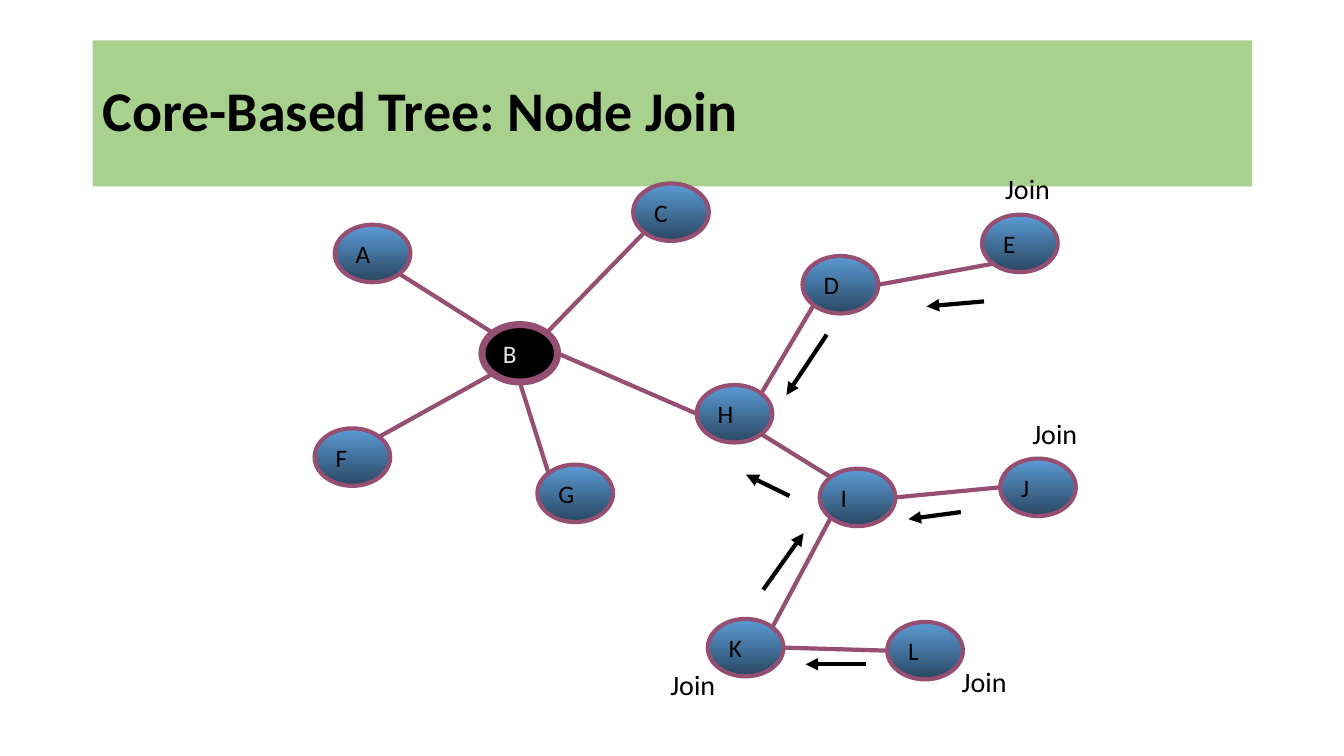
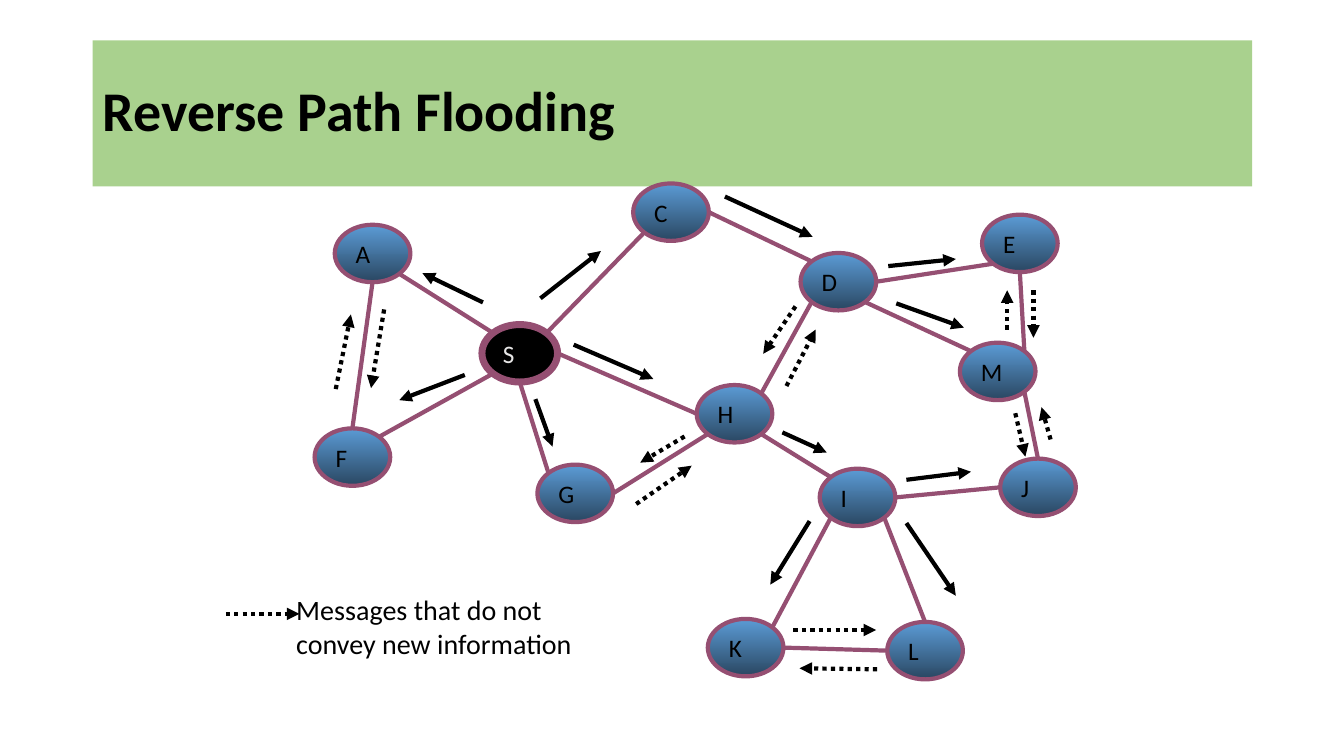
from math import sqrt

from lxml.etree import SubElement
from pptx import Presentation
from pptx.dml.color import RGBColor
from pptx.enum.dml import MSO_LINE
from pptx.enum.shapes import MSO_CONNECTOR, MSO_SHAPE
from pptx.enum.text import MSO_ANCHOR, MSO_AUTO_SIZE, PP_ALIGN
from pptx.oxml.ns import qn
from pptx.util import Inches, Pt

BLACK = RGBColor(0x00, 0x00, 0x00)
LIGHT = RGBColor(0xE7, 0xE6, 0xE6)
GREEN = RGBColor(0xA9, 0xD1, 0x8E)
PURPLE = RGBColor(0x95, 0x4F, 0x72)
BLUE = RGBColor(0x5B, 0x9B, 0xD5)
DARK_BLUE = RGBColor(0x2A, 0x47, 0x62)
FONT = "Calibri"

NODE_WIDTH, NODE_HEIGHT = 0.75, 0.57
DIAGONAL = 1 / sqrt(2)

# Connection sites of an ellipse: index, horizontal and vertical direction
SITES = {
    "top": (0, 0, -1),
    "top left": (1, -DIAGONAL, -DIAGONAL),
    "left": (2, -1, 0),
    "bottom left": (3, -DIAGONAL, DIAGONAL),
    "bottom": (4, 0, 1),
    "bottom right": (5, DIAGONAL, DIAGONAL),
    "right": (6, 1, 0),
    "top right": (7, DIAGONAL, -DIAGONAL),
}

# Left and top of the nodes that both networks have
SHARED_NODES = {
    "A": (3.32, 2.23), "C": (6.28, 1.82), "F": (3.12, 4.25),
    "E": (9.74, 2.13), "H": (6.91, 3.82), "G": (5.33, 4.61),
    "I": (8.13, 4.65), "J": (9.92, 4.55), "L": (8.8, 6.17),
    "K": (7.02, 6.14),
}
CORE_POSITION = (4.78, 3.22)

SHARED_EDGES = [
    ("core", "right", "H", "left"),
    ("A", "bottom right", "core", "top left"),
    ("F", "top right", "core", "bottom left"),
    ("core", "bottom", "G", "top left"),
    ("core", "top right", "C", "bottom left"),
    ("H", "top right", "D", "bottom left"),
    ("D", "right", "E", "bottom left"),
    ("H", "bottom right", "I", "top left"),
    ("I", "right", "J", "left"),
    ("I", "bottom left", "K", "top right"),
    ("K", "right", "L", "left"),
]
FLOODING_EDGES = [
    ("M", "top left", "D", "bottom right"),
    ("A", "bottom", "F", "top"),
    ("C", "right", "D", "top left"),
    ("G", "right", "H", "bottom left"),
    ("E", "bottom", "M", "top right"),
    ("L", "top", "I", "bottom right"),
    ("J", "top", "M", "bottom right"),
]

# Arrows: start x, start y, end x, end y
JOIN_ARROWS = [
    (9.76, 2.99, 9.19, 3.04), (8.2, 3.32, 7.8, 3.92),
    (9.53, 5.08, 9.01, 5.15), (7.83, 4.92, 7.4, 4.71),
    (7.57, 5.85, 7.97, 5.29), (8.59, 6.59, 7.99, 6.59),
]
JOIN_LABELS = [(9.87, 1.65), (10.14, 4.08), (6.55, 6.57), (9.44, 6.54)]
FLOODING_ARROWS = [
    (8.81, 2.64, 9.48, 2.57), (5.69, 3.42, 6.48, 3.76),
    (7.76, 4.29, 8.2, 4.49), (8.99, 4.76, 9.63, 4.68),
    (8.03, 5.17, 7.64, 5.8), (5.36, 2.96, 5.96, 2.49),
    (4.79, 3, 4.19, 2.71), (4.61, 3.72, 3.96, 3.97),
    (5.31, 3.96, 5.48, 4.43), (7.19, 1.95, 8.06, 2.35),
    (8.89, 3.01, 9.56, 3.25), (8.99, 5.19, 9.48, 5.91),
]
REDUNDANT_ARROWS = [
    (7.89, 3.04, 7.57, 3.51), (7.8, 3.83, 8.09, 3.27),
    (7.87, 6.25, 8.69, 6.25), (8.7, 6.64, 7.93, 6.63),
    (6.31, 5, 6.86, 4.62), (6.79, 4.33, 6.35, 4.59),
    (3.33, 3.86, 3.48, 3.12), (3.81, 3.07, 3.68, 3.85),
    (9.99, 3.27, 9.99, 2.88), (10.25, 2.88, 10.25, 3.35),
    (10.07, 4.1, 10.17, 4.53), (10.42, 4.36, 10.33, 4.04),
]
LEGEND_ARROW = (2.24, 6.09, 2.97, 6.09)


def write_paragraph(paragraph, text, size, color=BLACK, bold=False):
    paragraph.alignment = PP_ALIGN.LEFT
    run = paragraph.add_run()
    run.text = text
    run.font.name = FONT
    run.font.size = Pt(size)
    run.font.bold = bold
    run.font.color.rgb = color


def add_title(slide, text):
    band = slide.shapes.add_shape(
        MSO_SHAPE.RECTANGLE, Inches(0.92), Inches(0.4), Inches(11.5), Inches(1.45))
    band.shadow.inherit = False
    band.fill.solid()
    band.fill.fore_color.rgb = GREEN
    band.line.fill.background()
    band.text_frame.vertical_anchor = MSO_ANCHOR.MIDDLE
    paragraph = band.text_frame.paragraphs[0]
    paragraph.line_spacing = 0.9
    write_paragraph(paragraph, text, 40, bold=True)


def add_node(slide, label, position, is_core=False):
    left, top = position
    node = slide.shapes.add_shape(
        MSO_SHAPE.OVAL, Inches(left), Inches(top),
        Inches(NODE_WIDTH), Inches(NODE_HEIGHT))
    node.shadow.inherit = False
    if is_core:
        node.fill.solid()
        node.fill.fore_color.rgb = BLACK
    else:
        node.fill.gradient()
        node.fill.gradient_angle = 270
        for stop, color in zip(node.fill.gradient_stops, (BLUE, DARK_BLUE)):
            stop.color.rgb = color
    node.line.color.rgb = PURPLE
    node.line.width = Pt(5 if is_core else 3)
    frame = node.text_frame
    frame.vertical_anchor = MSO_ANCHOR.MIDDLE
    frame.auto_size = MSO_AUTO_SIZE.SHAPE_TO_FIT_TEXT
    write_paragraph(frame.paragraphs[0], label, 18, LIGHT if is_core else BLACK)
    return node


def add_line(slide, start, end, color):
    """Draw a straight connector between two points given in EMU."""
    line = slide.shapes.add_connector(MSO_CONNECTOR.STRAIGHT, *start, *end)
    line.line.color.rgb = color
    line.line.width = Pt(3)
    SubElement(line._element.spPr, qn("a:effectLst"))
    return line


def site_point(node, site):
    _, across, down = SITES[site]
    return (round(node.left + node.width * (1 + across) / 2),
            round(node.top + node.height * (1 + down) / 2))


def add_edge(slide, start_node, start_site, end_node, end_site):
    """Join two nodes; ellipses have eight sites, so the links are set in XML."""
    edge = add_line(slide, site_point(start_node, start_site),
                    site_point(end_node, end_site), PURPLE)
    properties = edge._element.nvCxnSpPr.cNvCxnSpPr
    for tag, node, site in (("a:stCxn", start_node, start_site),
                            ("a:endCxn", end_node, end_site)):
        SubElement(properties, qn(tag), id=str(node.shape_id), idx=str(SITES[site][0]))


def add_arrow(slide, ends, dotted=False):
    x1, y1, x2, y2 = map(Inches, ends)
    arrow = add_line(slide, (x1, y1), (x2, y2), BLACK)
    if dotted:
        arrow.line.dash_style = MSO_LINE.ROUND_DOT
    outline = arrow._element.spPr.find(qn("a:ln"))
    SubElement(outline, qn("a:tailEnd"), type="triangle")


def add_label(slide, left, top, width, height, lines):
    box = slide.shapes.add_textbox(
        Inches(left), Inches(top), Inches(width), Inches(height))
    frame = box.text_frame
    frame.word_wrap = False
    frame.auto_size = MSO_AUTO_SIZE.SHAPE_TO_FIT_TEXT
    for number, text in enumerate(lines):
        paragraph = frame.add_paragraph() if number else frame.paragraphs[0]
        write_paragraph(paragraph, text, 20)


def add_network(slide, core_label, extra_nodes, edges):
    nodes = {"core": add_node(slide, core_label, CORE_POSITION, is_core=True)}
    for label, position in (SHARED_NODES | extra_nodes).items():
        nodes[label] = add_node(slide, label, position)
    for start, start_site, end, end_site in edges:
        add_edge(slide, nodes[start], start_site, nodes[end], end_site)


def add_titled_slide(presentation, title):
    slide = presentation.slides.add_slide(presentation.slide_layouts[6])
    add_title(slide, title)
    return slide


def build_node_join(presentation):
    slide = add_titled_slide(presentation, "Core-Based Tree: Node Join")
    add_network(slide, "B", {"D": (7.96, 2.54)}, SHARED_EDGES)
    for ends in JOIN_ARROWS:
        add_arrow(slide, ends)
    for left, top in JOIN_LABELS:
        add_label(slide, left, top, 0.65, 0.44, ["Join"])


def build_reverse_path_flooding(presentation):
    slide = add_titled_slide(presentation, "Reverse Path Flooding")
    add_network(slide, "S", {"D": (7.94, 2.51), "M": (9.52, 3.4)},
                SHARED_EDGES + FLOODING_EDGES)
    for ends in FLOODING_ARROWS:
        add_arrow(slide, ends)
    for ends in REDUNDANT_ARROWS + [LEGEND_ARROW]:
        add_arrow(slide, ends, dotted=True)
    add_label(slide, 2.84, 5.83, 2.96, 0.77,
              ["Messages that do not", "convey new information"])


def main():
    presentation = Presentation()
    presentation.slide_width = Inches(13.33)
    presentation.slide_height = Inches(7.5)
    build_node_join(presentation)
    build_reverse_path_flooding(presentation)
    presentation.save("out.pptx")


if __name__ == "__main__":
    main()
